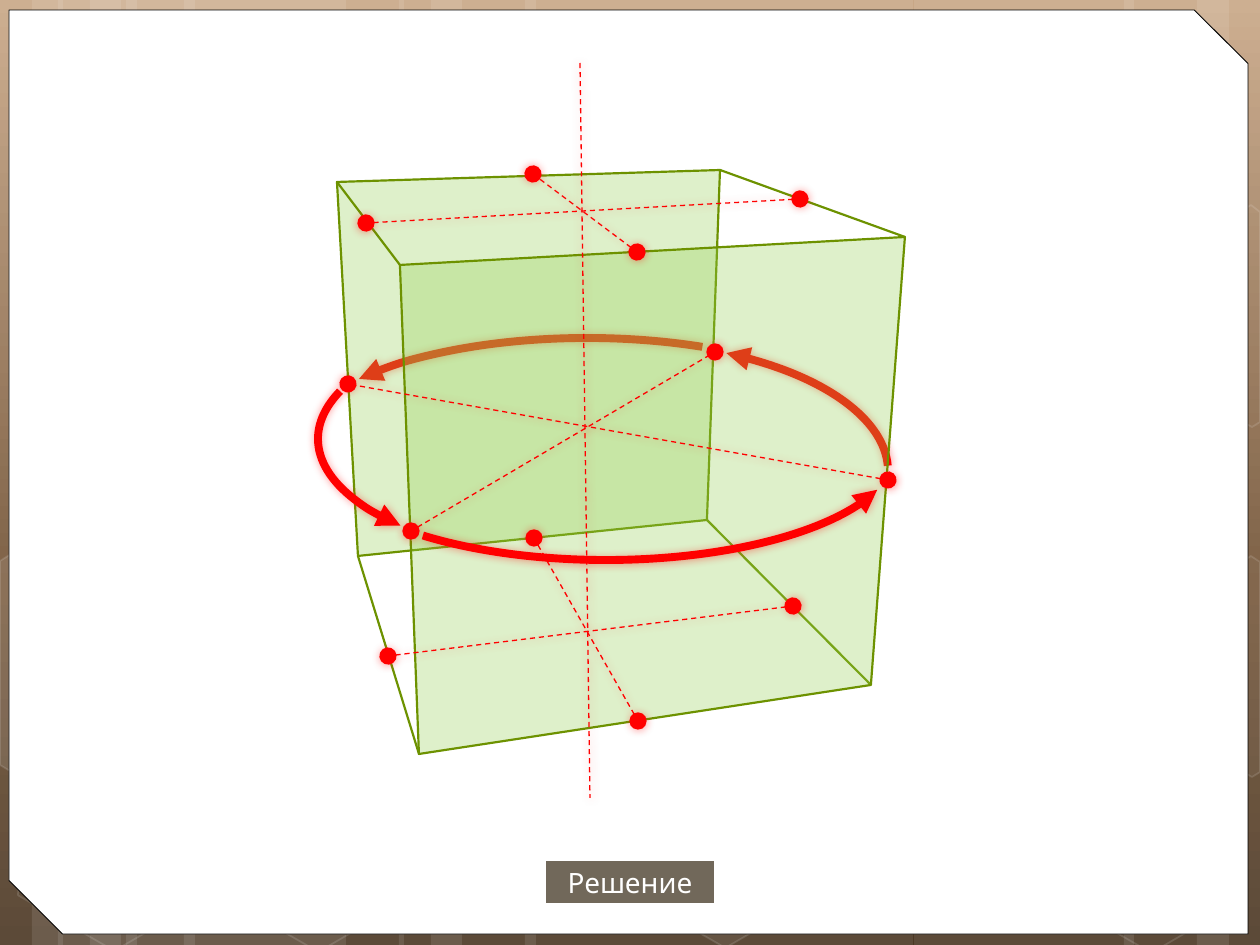
from pptx import Presentation
from pptx.dml.color import RGBColor
from pptx.enum.dml import MSO_LINE_DASH_STYLE as DASH
from pptx.enum.shapes import MSO_CONNECTOR as LINK, MSO_SHAPE as SHAPE
from pptx.enum.text import MSO_ANCHOR, PP_ALIGN
from pptx.oxml import parse_xml
from pptx.oxml.ns import nsdecls, qn
from pptx.util import Emu, Pt
from lxml.etree import SubElement

PX = 914400 / 126
COLORS = {
    "white": "FFFFFF", "black": "000000", "red": "FF0000", "face": "92D050",
    "edge": "6D9200", "button": "71685A",
    "sand": "C8A685", "brown": "705032", "dark": "4A3622",
}


def px(*lengths):
    return [Emu(round(length * PX)) for length in lengths]


def paint(shape, fill=None, fill_alpha=100, line=None, width=1, line_alpha=100,
          glow=False, head=None, tail=None):
    """Set fill, line, arrowheads and red glow; None means no fill or no line."""
    parts = [(shape.line.fill, line, line_alpha)]
    if hasattr(shape, "fill"):
        parts.append((shape.fill, fill, fill_alpha))
    for part, color, alpha in parts:
        if color is None:
            part.background()
            continue
        part.solid()
        part.fore_color.rgb = RGBColor.from_string(COLORS[color])
        if alpha < 100:
            holder = shape.line._ln if part is shape.line.fill else shape._element.spPr.find(qn("a:solidFill"))
            clr = next(holder.iter(qn("a:srgbClr")))
            SubElement(clr, qn("a:alpha"), val=str(alpha * 1000))
    if line:
        shape.line.width = Pt(width)
    for tag, style in (("a:headEnd", head), ("a:tailEnd", tail)):
        if style:
            size = "lg" if style == "oval" else "med"
            SubElement(shape.line._ln, qn(tag), type=style, w=size, len=size)
    props = shape._element.spPr
    effects = props.find(qn("a:effectLst"))
    if effects is None:
        effects = SubElement(props, qn("a:effectLst"))
    if glow:
        shadow = SubElement(effects, qn("a:outerShdw"), blurRad="63500", dist="0", dir="0")
        clr = SubElement(shadow, qn("a:srgbClr"), val=COLORS["red"])
        SubElement(clr, qn("a:alpha"), val="40000")


deck = Presentation()
deck.slide_width, deck.slide_height = px(1260, 945)
page = deck.slides.add_slide(deck.slide_layouts[6])
shapes = page.shapes

# Background gradient
backdrop = page.background.fill
backdrop.gradient()
backdrop.gradient_angle = 270
stops = "".join(
    f'<a:gs pos="{pos}"><a:srgbClr val="{COLORS[name]}"/></a:gs>'
    for pos, name in ((0, "sand"), (62000, "brown"), (100000, "dark")))
old_stops = next(page._element.iter(qn("a:gsLst")))
old_stops.getparent().replace(
    old_stops, parse_xml(f'<a:gsLst {nsdecls("a")}>{stops}</a:gsLst>'))

# Pale vertical bars
for left, width in ((126, 220), (0, 63), (32, 105), (184, 220), (58, 63), (90, 105),
                    (914, 220), (1197, 63), (1124, 105), (525, 388), (399, 63), (431, 105)):
    bar = shapes.add_shape(SHAPE.RECTANGLE, *px(left, 0, width, 945))
    paint(bar, "white", 10)

# Hexagons along the bottom and cut ones at the sides
for left, top, fill in ((615, 742, "white"), (4, 745, None), (208, 746, None), (1041, 747, None)):
    hexagon = shapes.add_shape(SHAPE.HEXAGON, *px(left, top, 220, 191))
    hexagon.adjustments[0] = 0.285
    hexagon.rotation = 30
    paint(hexagon, fill, 6, "white", 1, 12)

for points, fill, alpha in (
        ([(0, 561), (14, 552), (110, 607), (110, 718), (15, 774), (0, 765)], "white", 10),
        ([(1157, 611), (1251, 556), (1260, 562), (1260, 772), (1252, 777), (1155, 722)], "white", 4),
        ([(1157, 261), (1251, 205), (1260, 212), (1260, 422), (1252, 427), (1155, 372)], None, 100)):
    builder = shapes.build_freeform(*points[0], scale=PX)
    builder.add_line_segments(points[1:], close=True)
    paint(builder.convert_to_shape(), fill, alpha, "white", 1, 12)

# White panel
panel = shapes.add_shape(SHAPE.SNIP_2_DIAG_RECTANGLE, *px(9, 10, 1239, 924))
panel.adjustments[0], panel.adjustments[1] = 0, 0.058
paint(panel, "white", line="black", width=0.5)

# Rotation arcs (box, start and end degrees) and cube, from back to front
back_arcs = [((294, 338, 586, 220), 196.84, 318.77), ((315, 340, 573, 262), 316.65, 358.95)]
front_arcs = [((318, 318, 546, 242), 155.55, 190.76), ((315, 340, 582, 220), 8.34, 154.96)]
back_face = [(337, 182), (720, 170), (707, 520), (358, 556)]
front_face = [(400, 265), (905, 237), (871, 685), (419, 754)]

for arcs, faces in ((back_arcs, (back_face, front_face)), (front_arcs, ())):
    for box, start, end in arcs:
        arc = shapes.add_shape(SHAPE.ARC, *px(*box))
        # Angles are stored in 60000ths of a degree, adjustments in 100000ths
        arc.adjustments[0], arc.adjustments[1] = start * 0.6, end * 0.6
        paint(arc, line="red", width=4.5, glow=True, head="triangle")
    for face in faces:
        builder = shapes.build_freeform(*face[0], scale=PX)
        builder.add_line_segments(face[1:], close=True)
        paint(builder.convert_to_shape(), "face", 30, "edge", 1.25)
        if face is back_face:
            for near, far in zip(front_face, back_face):
                edge = shapes.add_connector(LINK.STRAIGHT, *px(*near, *far))
                paint(edge, line="edge", width=1.25)

# Vertical axis, then dashed lines with a dot at each end
for ends, dot in (((580, 63, 590, 798), None),
                  ((888, 480, 348, 384), "oval"), ((411, 531, 715, 352), "oval"),
                  ((638, 721, 534, 538), "oval"), ((366, 223, 800, 199), "oval"),
                  ((637, 252, 533, 174), "oval"), ((388, 656, 793, 606), "oval")):
    axis = shapes.add_connector(LINK.STRAIGHT, *px(*ends))
    axis.line.dash_style = DASH.DASH
    paint(axis, line="red", width=0.75, glow=True, head=dot, tail=dot)

# Solution button
button = shapes.add_shape(SHAPE.RECTANGLE, *px(546, 861, 168, 42))
paint(button, "button")
frame = button.text_frame
frame.margin_left = frame.margin_right = 0
frame.vertical_anchor = MSO_ANCHOR.MIDDLE
frame.text = "Решение"
para = frame.paragraphs[0]
para.alignment = PP_ALIGN.CENTER
font = para.runs[0].font
font.name, font.size = "League Spartan", Pt(16)
font.color.rgb = RGBColor.from_string(COLORS["white"])

deck.save("out.pptx")
